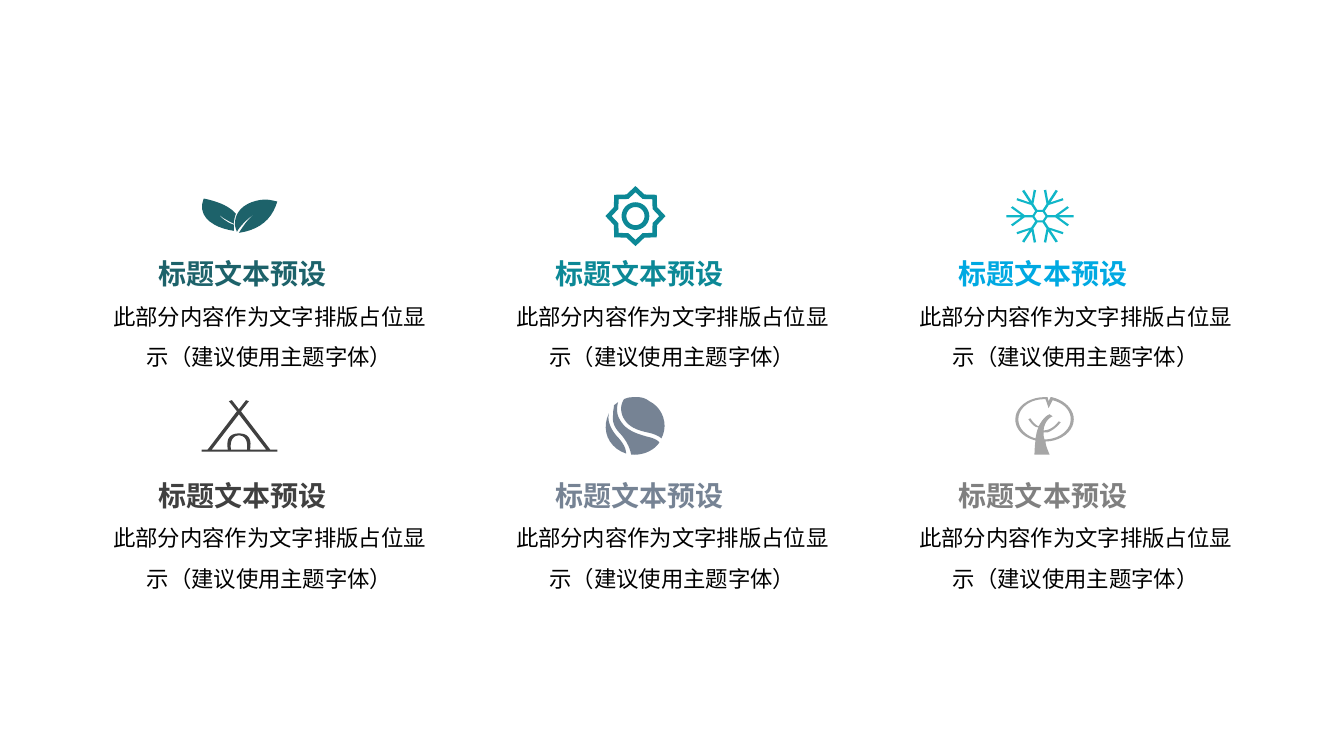
import math

import pptx
import pptx.dml.color
import pptx.enum.text
import pptx.oxml.ns
import pptx.util

Inches = pptx.util.Inches
FONT = "Noto Sans CJK SC"
HEADING = "标题文本预设"
BODY = "此部分内容作为文字排版占位显示（建议使用主题字体）"

# Icon outlines in hundredths of an inch: two numbers are a corner,
# six numbers are a cubic curve (two handles and an end point)
LEAVES = [
    [(62, 1), (67, 1, 71, 2, 75, 3), (70, 20, 58, 31, 37, 34), (42, 26, 48, 17, 57, 13),
     (49, 16, 38, 27, 35, 33), (33, 28, 33, 26, 33, 25), (33, 10, 47, 2, 62, 1)],
    [(2, 0), (12, 2, 26, 6, 34, 15), (33, 18, 32, 21, 32, 25), (26, 22, 20, 19, 15, 14),
     (20, 20, 26, 24, 32, 26), (32, 32), (16, 30, -6, 20, 2, 0)],
]
TENT = [
    [(68, 49), (39, 11), (47, 1), (44, 0), (37, 9), (30, 0), (27, 1), (35, 11), (6, 49),
     (0, 49), (0, 51), (75, 51), (75, 49)],
    [(37, 14), (64, 49), (48, 49), (50, 38, 46, 33, 37, 33), (28, 33, 24, 38, 26, 49), (10, 49)],
    [(29, 49), (28, 40, 31, 35, 37, 35), (43, 35, 46, 40, 45, 49)],
]
BALL = [
    [(3, 16), (1, 24, 5, 32, 11, 39), (18, 46, 20, 52, 20, 56), (2, 50, -5, 32, 3, 16)],
    [(12, 5), (11, 9, 10, 15, 13, 21), (19, 33, 30, 36, 40, 39), (45, 40, 51, 42, 53, 45),
     (47, 54, 35, 58, 25, 57), (24, 52, 22, 45, 14, 36), (9, 31, 6, 25, 7, 18),
     (7, 13, 8, 10, 8, 8)],
    [(31, 0), (35, 0, 39, 1, 43, 4), (57, 11, 62, 28, 55, 41), (52, 38, 46, 36, 41, 35),
     (32, 33, 22, 30, 17, 20), (13, 11, 16, 5, 18, 2), (22, 0, 26, 0, 31, 0)],
]
TREE = [
    [(58, 22), (58, 12, 49, 3, 36, 0), (35, 0), (33, 4), (32, 0), (29, 0),
     (13, 0, 0, 10, 0, 22), (0, 32, 8, 40, 20, 43), (19, 51, 19, 57, 19, 57), (34, 57),
     (32, 52, 30, 48, 30, 44), (45, 44, 58, 34, 58, 22)],
    [(29, 42), (28, 39, 28, 37, 28, 35), (29, 35, 30, 35, 32, 35), (37, 33, 41, 30, 45, 25),
     (43, 24), (38, 31, 32, 33, 28, 33), (29, 22, 37, 19, 37, 19), (34, 17),
     (29, 19, 26, 24, 23, 29), (21, 28, 18, 26, 15, 21), (13, 22), (17, 28, 20, 30, 23, 30),
     (21, 34, 21, 37, 20, 41), (10, 38, 3, 31, 3, 22), (3, 11, 14, 2, 29, 2), (30, 2),
     (33, 11), (37, 3), (48, 6, 55, 13, 55, 22), (55, 33, 43, 42, 29, 42)],
]
SNOW_ARM = [(6.5, -1.1), (13.5, -1.1), (24, -9.9), (25.5, -8.4), (16.5, -1.1), (29.5, -1.1),
            (29.5, 1.1), (16.5, 1.1), (25.5, 8.4), (24, 9.9), (13.5, 1.1), (6.5, 1.1)]


def ring(center, points, count, stretch=1):
    """Turn a group of points around a centre, count times."""
    turned = []
    for step in range(count):
        cos, sin = (f(math.tau * step / count) for f in (math.cos, math.sin))
        turned += [(center[0] + stretch * (x * cos - y * sin), center[1] + x * sin + y * cos)
                   for x, y in points]
    return turned


def star(center, tip, notch):
    half = math.pi / 8
    return ring(center, [(tip, 0), (notch * math.cos(half), notch * math.sin(half))], 8)


SUN_CENTER = (29.3, 28.4)
SUN = [star(SUN_CENTER, 29.8, 23.2), star(SUN_CENTER, 23.6, 18.4),
       ring(SUN_CENTER, [(13.7, 0)], 48), ring(SUN_CENTER, [(9, 0)], 48)]
SNOW_CENTER = (33.5, 25.5)
SNOWFLAKE = [ring(SNOW_CENTER, SNOW_ARM, 6, 1.13), ring(SNOW_CENTER, [(4.9, 0)], 6, 1.13)]

# Heading colour, icon colour, icon outline, icon corner
ITEMS = [
    [("1D626A", "1D626A", LEAVES, (2, 1.97)),
     ("0C8896", "0C8896", SUN, (6.01, 1.86)),
     ("00A9E2", "10B6C8", SNOWFLAKE, (9.98, 1.89))],
    [("404040", "404040", TENT, (2, 3.97)),
     ("768394", "768394", BALL, (6.01, 3.94)),
     ("808080", "A6A6A6", TREE, (10.07, 3.94))],
]
COLUMNS = [(1.01, 3.33), (4.95, 3.44), (8.95, 3.44)]  # left and width of the body text
ROW_TOP, ROW_STEP = 2.5, 2.2

deck = pptx.Presentation()
deck.slide_width, deck.slide_height = Inches(13.33), Inches(7.5)
slide = deck.slides.add_slide(deck.slide_layouts[6])


def color(value):
    return pptx.dml.color.RGBColor.from_string(value)


def add_text(words, left, top, width, height, size, ink, bold=False, spacing=None):
    box = slide.shapes.add_textbox(Inches(left), Inches(top), Inches(width), Inches(height))
    box.text_frame.word_wrap = True
    box.text_frame.text = words
    line = box.text_frame.paragraphs[0]
    line.alignment = pptx.enum.text.PP_ALIGN.CENTER
    line.line_spacing = spacing
    font = line.runs[0].font
    font.size, font.bold, font.name = pptx.util.Pt(size), bold, FONT
    font.color.rgb = color(ink)
    # East Asian typeface
    east = line.runs[0]._r.get_or_add_rPr().makeelement(
        pptx.oxml.ns.qn("a:ea"), {"typeface": FONT})
    line.runs[0]._r.rPr.append(east)


def flatten(outline, steps=10):
    """Replace each curve by short straight pieces."""
    points = []
    for part in outline:
        if len(part) == 2:
            points.append(part)
            continue
        knots = [points[-1], part[:2], part[2:4], part[4:]]
        for step in range(1, steps + 1):
            t = step / steps
            weights = [math.comb(3, i) * t ** i * (1 - t) ** (3 - i) for i in range(4)]
            points.append(tuple(sum(w * k[axis] for w, k in zip(weights, knots))
                                for axis in (0, 1)))
    return points


def add_icon(outlines, corner, ink):
    contours = [[tuple(Inches(c + v / 100) for c, v in zip(corner, point))
                 for point in flatten(outline)] for outline in outlines]
    builder = slide.shapes.build_freeform(*contours[0][0])
    builder.add_line_segments(contours[0][1:])
    for contour in contours[1:]:
        builder.move_to(*contour[0])
        builder.add_line_segments(contour[1:])
    icon = builder.convert_to_shape()
    icon.shadow.inherit = False
    icon.fill.solid()
    icon.fill.fore_color.rgb = color(ink)
    icon.line.fill.background()


# Grid of icon, heading and body text
for row, items in enumerate(ITEMS):
    top = ROW_TOP + row * ROW_STEP
    for (left, width), (heading_ink, icon_ink, outlines, corner) in zip(COLUMNS, items):
        add_text(BODY, left, top + 0.32, width, 0.62, 16, "000000", spacing=1.5)
        add_text(HEADING, left - 0.06, top, 2.91, 0.26, 20, heading_ink, bold=True)
        add_icon(outlines, corner, icon_ink)

deck.save("out.pptx")
